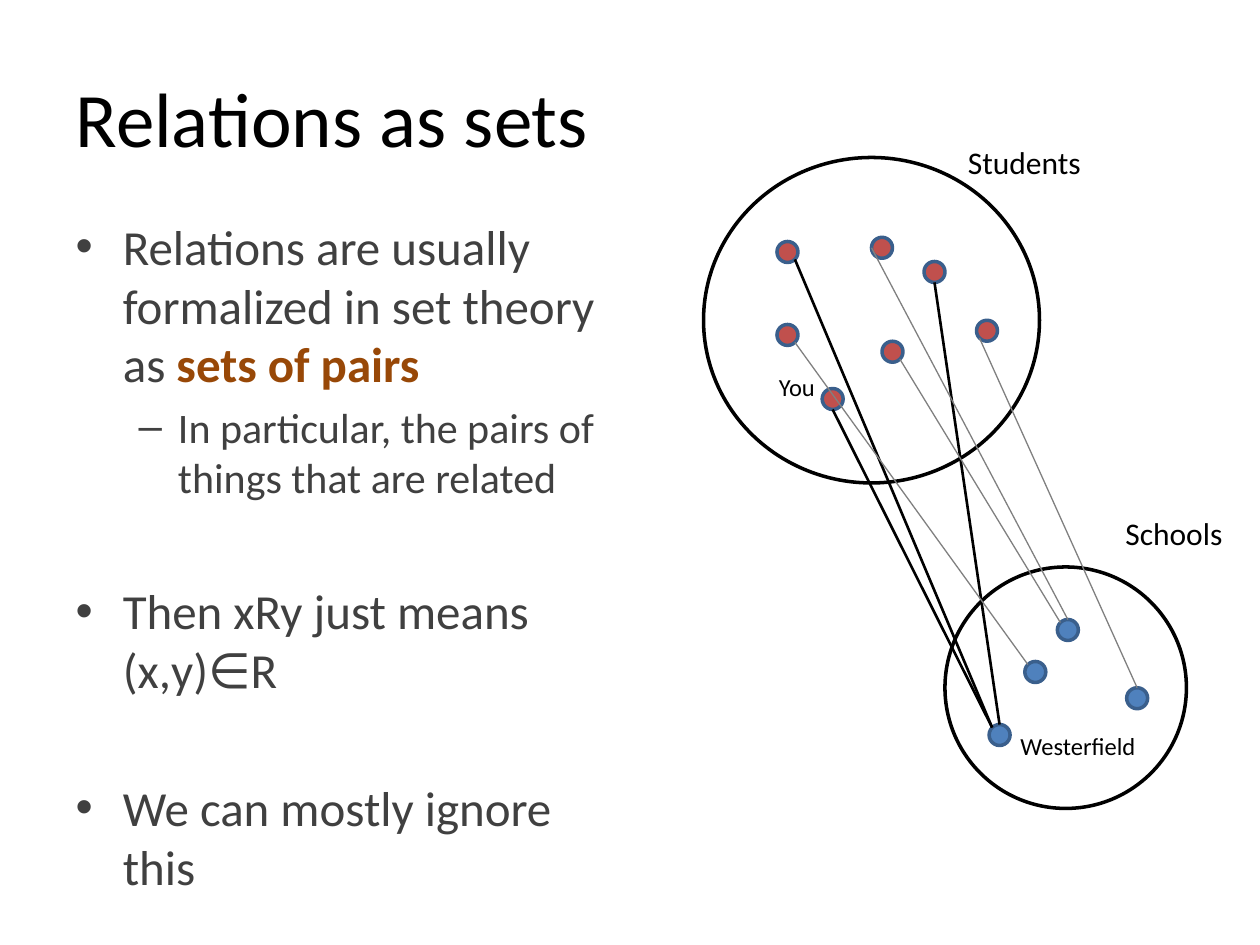
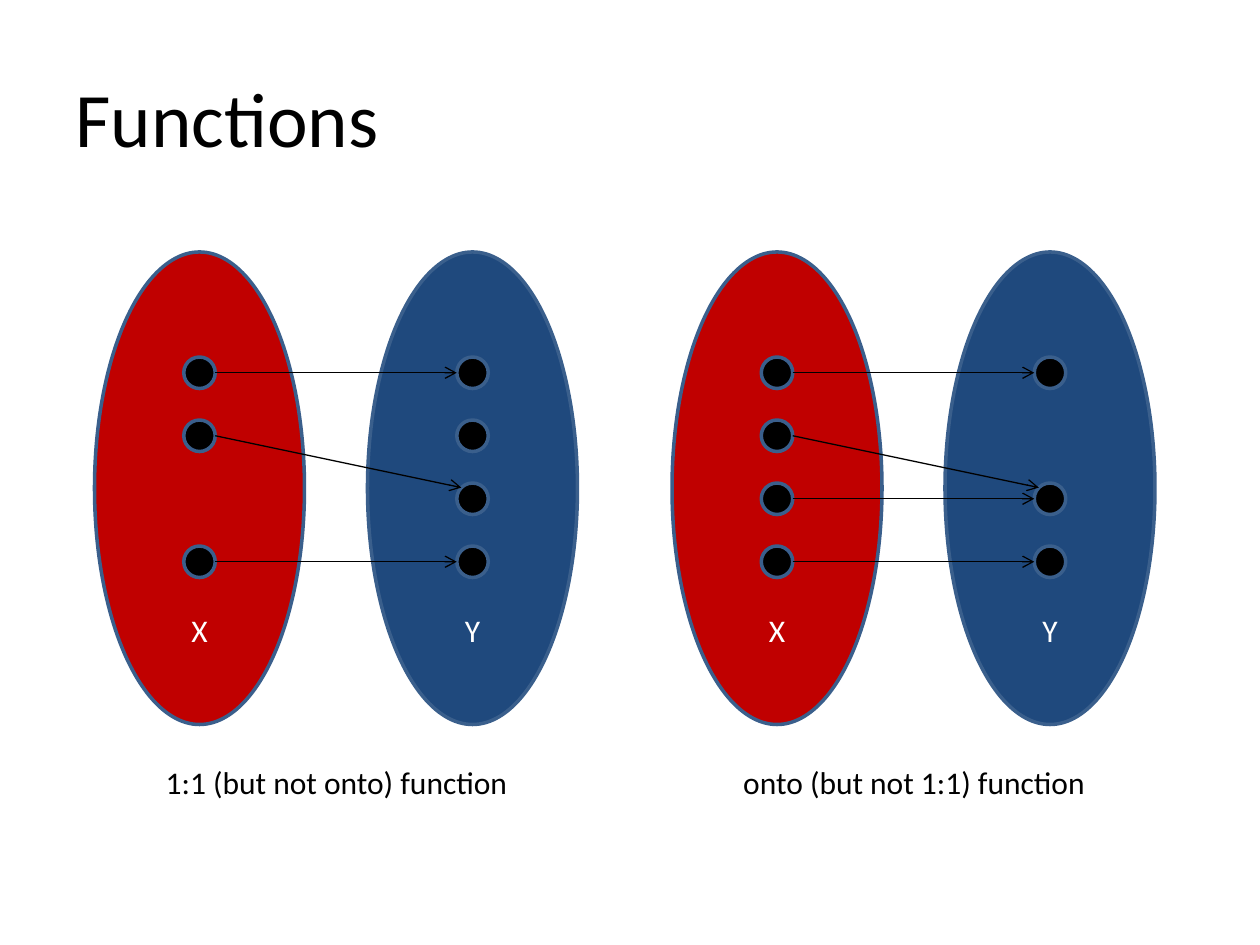
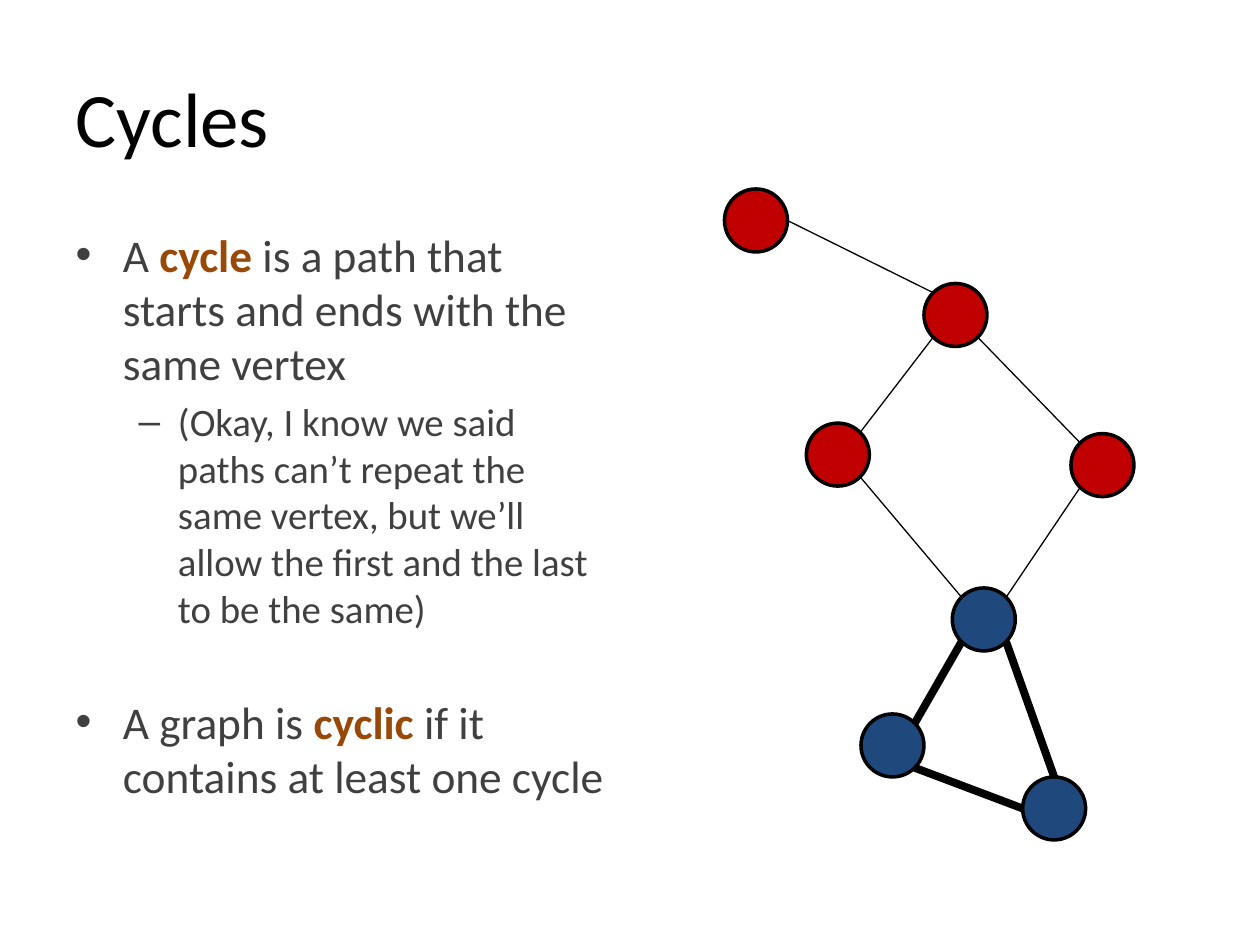
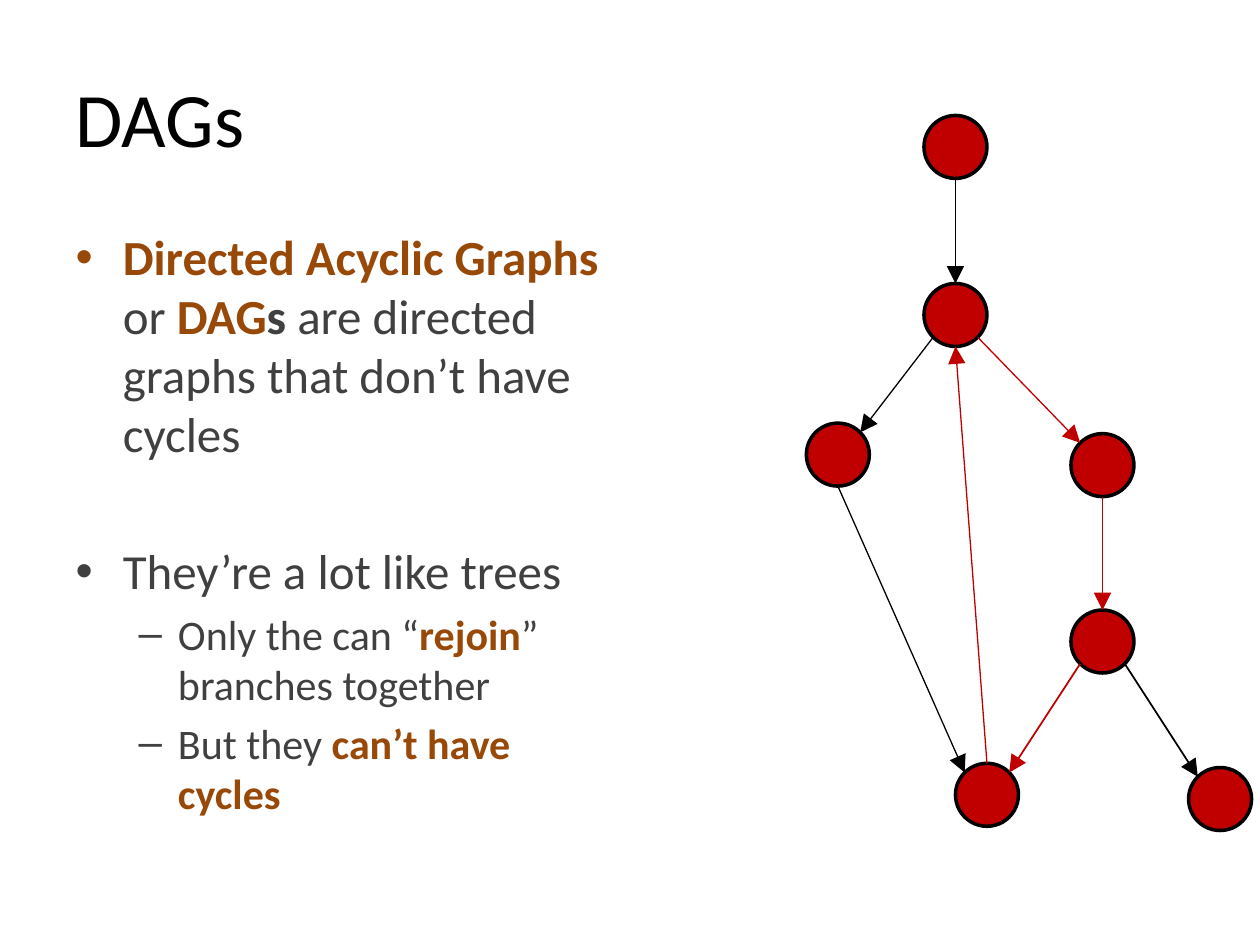
from dataclasses import dataclass
from typing import NamedTuple

from lxml import etree
from pptx import Presentation
from pptx import util as u
from pptx.dml.color import RGBColor
from pptx.enum import shapes, text
from pptx.oxml import ns

PX = u.Inches(1) // 120
FONT = "Calibri"
COLORS = {
    "black": "000000",
    "white": "FFFFFF",
    "body": "404040",
    "term": "984807",
    "gray": "808080",
    "outline": "3A5F8C",
    "red": "C00000",
    "navy": "1F497D",
    "student": "C0504D",
    "school": "4F81BD",
}
DIAGONAL = 0.5 ** 0.5
SITES = {
    "top": (0, -1),
    "top left": (-DIAGONAL, -DIAGONAL),
    "left": (-1, 0),
    "bottom left": (-DIAGONAL, DIAGONAL),
    "bottom": (0, 1),
    "bottom right": (DIAGONAL, DIAGONAL),
    "right": (1, 0),
    "top right": (DIAGONAL, -DIAGONAL),
}
TITLE_AND_BODY, TITLE_ONLY = 1, 5


class Box(NamedTuple):
    left: int
    top: int
    width: int
    height: int


class Run(NamedTuple):
    text: str
    color: str = "body"
    bold: bool = False


class Arrow(NamedTuple):
    kind: str
    size: str


@dataclass(frozen=True)
class Item:
    runs: tuple[Run, ...]
    level: int = 0
    gap: float | None = None


@dataclass(frozen=True)
class Oval:
    box: Box
    fill: str | None = None
    outline: str = "black"
    label: str = ""


@dataclass(frozen=True)
class Edge:
    start: str
    start_site: str
    end: str
    end_site: str
    color: str = "black"
    width: float = 0.75


TITLE_BOX = Box(60, 36, 1080, 150)
OPEN_ARROW = Arrow("arrow", "med")
SOLID_ARROW = Arrow("triangle", "lg")


def rgb(name: str) -> RGBColor:
    return RGBColor.from_string(COLORS[name])


def emu(box: Box) -> list[int]:
    return [length * PX for length in box]


def term(words: str) -> Run:
    return Run(words, "term", True)


def add_text(paragraph, words: str, *, size: float, color: str = "black", bold: bool = False) -> None:
    run = paragraph.add_run()
    run.text = words
    run.font.name = FONT
    run.font.size = u.Pt(size)
    run.font.bold = bold
    run.font.color.rgb = rgb(color)


def place(shape, box: Box) -> None:
    shape.left, shape.top, shape.width, shape.height = emu(box)


def add_slide(presentation, title: str, layout: int = TITLE_AND_BODY):
    slide = presentation.slides.add_slide(presentation.slide_layouts[layout])
    place(slide.shapes.title, TITLE_BOX)
    paragraph = slide.shapes.title.text_frame.paragraphs[0]
    paragraph.alignment = text.PP_ALIGN.LEFT
    add_text(paragraph, title, size=44)
    return slide


def fill_body(slide, box: Box, items: list[Item], sizes: tuple[float, float] = (28, 24)) -> None:
    body = slide.placeholders[1]
    place(body, box)
    frame = body.text_frame
    frame.auto_size = text.MSO_AUTO_SIZE.NONE
    for index, item in enumerate(items):
        paragraph = frame.add_paragraph() if index else frame.paragraphs[0]
        paragraph.level = item.level
        if item.gap:
            paragraph.space_before = u.Pt(item.gap)
        for run in item.runs:
            add_text(paragraph, run.text, size=sizes[item.level], color=run.color, bold=run.bold)


def add_label(slide, words: str, box: Box, size: float = 18) -> None:
    frame = slide.shapes.add_textbox(*emu(box)).text_frame
    frame.word_wrap = False
    frame.auto_size = text.MSO_AUTO_SIZE.SHAPE_TO_FIT_TEXT
    add_text(frame.paragraphs[0], words, size=size)


def draw_oval(slide, oval: Oval) -> None:
    shape = slide.shapes.add_shape(shapes.MSO_SHAPE.OVAL, *emu(oval.box))
    shape.shadow.inherit = False
    shape.line.color.rgb = rgb(oval.outline)
    shape.line.width = u.Pt(2)
    if oval.fill:
        shape.fill.solid()
        shape.fill.fore_color.rgb = rgb(oval.fill)
    else:
        shape.fill.background()
    if oval.label:
        frame = shape.text_frame
        frame.vertical_anchor = text.MSO_ANCHOR.BOTTOM
        frame.paragraphs[0].alignment = text.PP_ALIGN.CENTER
        add_text(frame.paragraphs[0], oval.label, size=18, color="white")


def site_point(oval: Oval, site: str) -> tuple[int, int]:
    across, down = SITES[site]
    left, top, width, height = emu(oval.box)
    return round(left + width / 2 * (1 + across)), round(top + height / 2 * (1 + down))


def draw_edge(slide, ovals: dict[str, Oval], edge: Edge, arrow: Arrow | None = None) -> None:
    connector = slide.shapes.add_connector(
        shapes.MSO_CONNECTOR.STRAIGHT,
        *site_point(ovals[edge.start], edge.start_site),
        *site_point(ovals[edge.end], edge.end_site),
    )
    connector.line.color.rgb = rgb(edge.color)
    connector.line.width = u.Pt(edge.width)
    properties = connector.element.spPr
    if arrow:
        line = properties.find(ns.qn("a:ln"))
        etree.SubElement(line, ns.qn("a:tailEnd"), type=arrow.kind, w=arrow.size, len=arrow.size)
    etree.SubElement(properties, ns.qn("a:effectLst"))


def draw_graph(slide, ovals: dict[str, Oval], edges: list[Edge], arrow: Arrow | None = None) -> None:
    for oval in ovals.values():
        draw_oval(slide, oval)
    for edge in edges:
        draw_edge(slide, ovals, edge, arrow)


def circle(left: int, top: int, size: int, fill: str, outline: str = "black") -> Oval:
    return Oval(Box(left, top, size, size), fill, outline)


def vertex(left: int, top: int, fill: str = "red") -> Oval:
    return circle(left, top, 60, fill)


def build_relations(presentation) -> None:
    slide = add_slide(presentation, "Relations as sets")
    fill_body(slide, Box(60, 200, 530, 690), [
        Item((Run("Relations are usually formalized in set theory as "), term("sets of pairs"))),
        Item((Run("In particular, the pairs of things that are related"),), level=1),
        Item((Run("Then xRy just means (x,y)∈R"),), gap=45),
        Item((Run("We can mostly ignore this"),), gap=45),
    ])
    draw_oval(slide, Oval(Box(670, 150, 320, 310)))
    draw_oval(slide, Oval(Box(900, 540, 230, 230)))
    students = {
        "upper left": (740, 230), "lower left": (740, 309), "upper middle": (830, 226),
        "lower middle": (840, 325), "you": (783, 370), "upper right": (880, 249),
        "lower right": (930, 305),
    }
    schools = {
        "north": (1007, 590), "east": (1073, 655), "south": (942, 690), "center": (976, 630),
    }
    dots = {
        name: circle(*position, 20, fill, "outline")
        for group, fill in ((students, "student"), (schools, "school"))
        for name, position in group.items()
    }
    draw_graph(slide, dots, [
        Edge("you", "bottom", "south", "top left", width=1.5),
        Edge("upper right", "bottom", "south", "top", width=1.5),
        Edge("upper left", "bottom right", "south", "top left", width=1.5),
        Edge("lower middle", "bottom right", "north", "top left", "gray"),
        Edge("lower right", "bottom left", "east", "top", "gray"),
        Edge("upper middle", "left", "north", "top", "gray"),
        Edge("lower left", "bottom right", "center", "top left", "gray"),
    ])
    add_label(slide, "Students", Box(910, 130, 133, 48))
    add_label(slide, "Schools", Box(1060, 484, 118, 48))
    add_label(slide, "Westerfield", Box(960, 690, 157, 41), size=14)
    add_label(slide, "You", Box(730, 348, 59, 41), size=14)


def draw_mapping(slide, left: int, caption: str, rows: dict[str, tuple[int, ...]],
                 pairs: list[tuple[int, int]]) -> None:
    set_gap, set_width, dot_size = 260, 200, 30
    ovals = {}
    for column, (name, fill) in enumerate((("X", "red"), ("Y", "navy"))):
        set_left = left + column * set_gap
        ovals[name] = Oval(Box(set_left, 240, set_width, 450), fill, "outline", name)
        for row in rows[name]:
            ovals[f"{name}{row}"] = circle(
                set_left + (set_width - dot_size) // 2, 340 + row * 60, dot_size, "black", "outline")
    edges = [
        Edge(f"X{start}", "right", f"Y{end}", "left" if start == end else "top left")
        for start, end in pairs
    ]
    draw_graph(slide, ovals, edges, OPEN_ARROW)
    add_label(slide, caption, Box(left + 56, 721, 354, 48))


def build_functions(presentation) -> None:
    slide = add_slide(presentation, "Functions", TITLE_ONLY)
    draw_mapping(slide, 90, "1:1 (but not onto) function",
                 {"X": (0, 1, 3), "Y": (0, 1, 2, 3)}, [(0, 0), (1, 2), (3, 3)])
    draw_mapping(slide, 640, "onto (but not 1:1) function",
                 {"X": (0, 1, 2, 3), "Y": (0, 2, 3)}, [(0, 0), (1, 2), (3, 3), (2, 2)])


def build_cycles(presentation) -> None:
    slide = add_slide(presentation, "Cycles")
    fill_body(slide, Box(60, 210, 530, 594), [
        Item((Run("A "), term("cycle "), Run("is a path that starts and ends with the same vertex"))),
        Item((Run("(Okay, I know we said paths can’t repeat the same vertex, "
                  "but we’ll allow the first and the last to be the same)"),), level=1),
        Item((Run("A graph is "), term("cyclic "), Run("if it contains at least one cycle")), gap=36),
    ], sizes=(25.9, 22.2))
    vertices = {
        "end": vertex(690, 180),
        "fork": vertex(880, 270),
        "left": vertex(768, 403),
        "hub": vertex(907, 560, "navy"),
        "right": vertex(1020, 413),
        "lower right": vertex(974, 740, "navy"),
        "lower left": vertex(820, 680, "navy"),
    }
    draw_graph(slide, vertices, [
        Edge("hub", "bottom right", "lower right", "top", width=4.5),
        Edge("lower right", "left", "lower left", "bottom right", width=4.5),
        Edge("lower left", "top right", "hub", "bottom left", width=4.5),
        Edge("end", "right", "fork", "top left"),
        Edge("left", "top right", "fork", "bottom left"),
        Edge("fork", "bottom right", "right", "top left"),
        Edge("left", "bottom right", "hub", "top left"),
        Edge("right", "bottom left", "hub", "top right"),
    ])


def build_dags(presentation) -> None:
    slide = add_slide(presentation, "DAGs")
    fill_body(slide, Box(60, 210, 530, 690), [
        Item((term("Directed Acyclic Graphs "), Run("or "), term("DAG"), Run("s ", bold=True),
              Run("are directed graphs that don’t have cycles"))),
        Item((Run("They’re a lot like trees"),), gap=45),
        Item((Run("Only the can “"), term("rejoin"), Run("” branches together")), level=1),
        Item((Run("But they "), term("can’t have cycles")), level=1),
    ])
    vertices = {
        "root": vertex(880, 110),
        "fork": vertex(880, 270),
        "left": vertex(768, 403),
        "right": vertex(1020, 413),
        "lower right": vertex(1020, 581),
        "leaf": vertex(1132, 731),
        "join": vertex(910, 727),
    }
    draw_graph(slide, vertices, [
        Edge("lower right", "bottom right", "leaf", "top left", width=1),
        Edge("lower right", "bottom left", "join", "top right", "red", 1),
        Edge("fork", "bottom left", "left", "top right"),
        Edge("fork", "bottom right", "right", "top left", "red"),
        Edge("root", "bottom", "fork", "top"),
        Edge("right", "bottom", "lower right", "top", "red"),
        Edge("left", "bottom", "join", "top left"),
        Edge("join", "top", "fork", "bottom", "red"),
    ], SOLID_ARROW)


def main() -> None:
    presentation = Presentation()
    presentation.slide_width, presentation.slide_height = 1200 * PX, 900 * PX
    for build in (build_relations, build_functions, build_cycles, build_dags):
        build(presentation)
    presentation.save("out.pptx")


if __name__ == "__main__":
    main()
